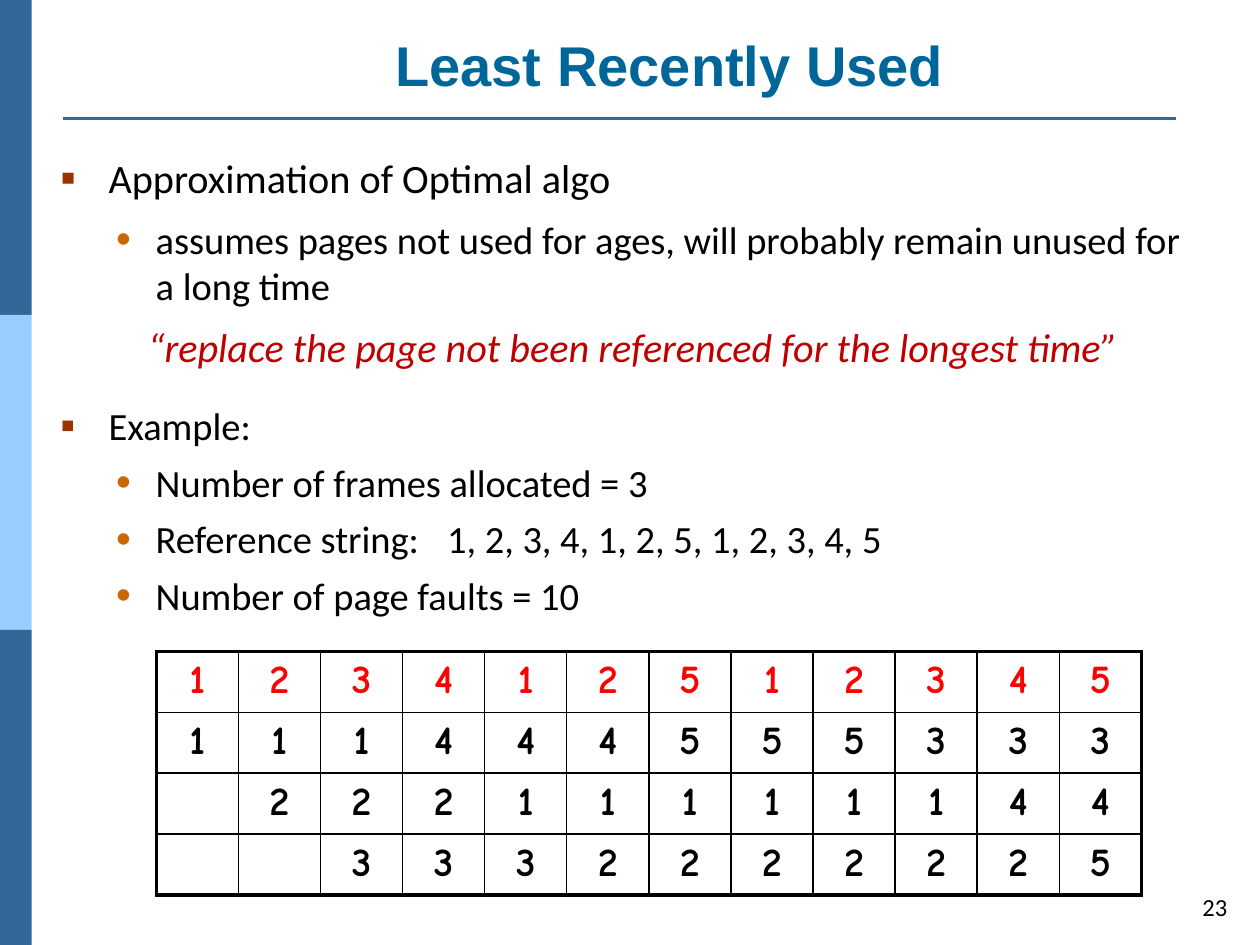
from lxml import etree
from pptx import Presentation
from pptx.dml.color import RGBColor
from pptx.enum.shapes import MSO_CONNECTOR, MSO_SHAPE
from pptx.enum.text import MSO_ANCHOR, PP_ALIGN
from pptx.oxml.ns import qn
from pptx.util import Cm, Pt

LEFT, CENTER, RIGHT = PP_ALIGN.LEFT, PP_ALIGN.CENTER, PP_ALIGN.RIGHT
TOP, MIDDLE, BOTTOM = MSO_ANCHOR.TOP, MSO_ANCHOR.MIDDLE, MSO_ANCHOR.BOTTOM
COLORS = {
    "band": "336699", "band_light": "99CCFF", "title": "006699",
    "text": "000000", "quote": "C00000", "request": "FF0000",
    "square": "993300", "dot": "CC6600", "cell": "FFFFFF",
}


def add_span(para, text, color, **font_format):
    span = para.add_run()
    span.text = text
    for name, value in font_format.items():
        setattr(span.font, name, value)
    span.font.color.rgb = RGBColor.from_string(COLORS[color])


def add_text_box(page, left, top, width, height, anchor):
    box = page.shapes.add_textbox(Cm(left), Cm(top), Cm(width), Cm(height))
    box.text_frame.word_wrap = True
    box.text_frame.vertical_anchor = anchor
    return box.text_frame


deck = Presentation()
deck.slide_width, deck.slide_height = Cm(25.4), Cm(19.05)
page = deck.slides.add_slide(deck.slide_layouts[6])

# Side bands and title rule
band_height = 19.05 / 3
for index, color in enumerate(["band", "band_light", "band"]):
    band = page.shapes.add_shape(MSO_SHAPE.RECTANGLE, 0, Cm(index * band_height),
                                 Cm(0.64), Cm(band_height))
    band.shadow.inherit = False
    band.fill.solid()
    band.fill.fore_color.rgb = RGBColor.from_string(COLORS[color])
    band.line.fill.background()

rule = page.shapes.add_connector(MSO_CONNECTOR.STRAIGHT, Cm(1.27), Cm(2.39), Cm(23.7), Cm(2.39))
rule.line.color.rgb = RGBColor.from_string(COLORS["band"])
rule.line.width = Pt(1.5)
etree.SubElement(rule._element.spPr, qn("a:effectLst"))

# Page number and title
number = add_text_box(page, 23.85, 17.75, 1.14, 1.04, MIDDLE).paragraphs[0]
number.alignment = RIGHT
add_span(number, "23", "text", name="Calibri", size=Pt(14))

title = add_text_box(page, 3.15, 0.25, 20.7, 1.85, BOTTOM).paragraphs[0]
title.alignment = CENTER
add_span(title, "Least Recently Used", "title", name="Arial", size=Pt(32), bold=True)

# Body: each kind gives level, left margin, indent, bullet, bullet colour
KINDS = {
    "main": (0, 0.97, -0.97, "▪", "square"),
    "sub": (1, 1.92, -0.8, "•", "dot"),
    "quote": (0, 0, 0, None, None),
}
BODY = [  # kind, space before, size, text
    ("main", 0, 23, "Approximation of Optimal algo"),
    ("sub", 8, 22, "assumes pages not used for ages, will probably remain unused for a long time"),
    ("quote", 8, 23, "“replace the page not been referenced for the longest time”"),
    ("main", 18, 22, "Example:"),
    ("sub", 6, 22, "Number of frames allocated = 3"),
    ("sub", 6, 22, "Reference string:\t 1, 2, 3, 4, 1, 2, 5, 1, 2, 3, 4, 5"),
    ("sub", 6, 22, "Number of page faults = 10"),
]
body = add_text_box(page, 0.97, 2.97, 23.62, 8.94, TOP)
for index, (kind, space, size, text) in enumerate(BODY):
    level, margin, indent, bullet, bullet_color = KINDS[kind]
    para = body.paragraphs[0] if index == 0 else body.add_paragraph()
    settings = para._p.get_or_add_pPr()
    settings.set("marL", str(Cm(margin)))
    settings.set("indent", str(Cm(indent)))
    if bullet:
        tint = etree.SubElement(settings, qn("a:buClr"))
        etree.SubElement(tint, qn("a:srgbClr"), val=COLORS[bullet_color])
        etree.SubElement(settings, qn("a:buSzPct"), val="110000")
        etree.SubElement(settings, qn("a:buFont"), typeface="Arial")
        etree.SubElement(settings, qn("a:buChar"), char=bullet)
    is_quote = kind == "quote"
    para_format = {"level": level, "space_before": Pt(space),
                   "alignment": CENTER if is_quote else LEFT}
    for name, value in para_format.items():
        setattr(para, name, value)
    add_span(para, text, "quote" if is_quote else "text",
             name="Calibri", size=Pt(size), italic=is_quote)

# Table: requested pages on top, then the content of each frame
FRAMES = ["123412512345", "111444555333", " 22211111144", "  3332222225"]
row_count, column_count = len(FRAMES), len(FRAMES[0])
table = page.shapes.add_table(row_count, column_count, Cm(3.15), Cm(13.13),
                              Cm(19.86), Cm(1.19 * row_count)).table
table.first_row = table.horz_banding = False
for row, pages in enumerate(FRAMES):
    for column, digit in enumerate(pages):
        cell = table.cell(row, column)
        outer_edges = {"a:lnL": column == 0, "a:lnR": column == column_count - 1,
                       "a:lnT": row == 0, "a:lnB": row == row_count - 1}
        for tag, is_outer in outer_edges.items():
            edge = etree.SubElement(cell._tc.get_or_add_tcPr(), qn(tag),
                                    w=str(Pt(2.25 if is_outer else 1)))
            paint = etree.SubElement(edge, qn("a:solidFill"))
            etree.SubElement(paint, qn("a:srgbClr"), val=COLORS["text"])
        cell.fill.solid()
        cell.fill.fore_color.rgb = RGBColor.from_string(COLORS["cell"])
        if digit != " ":
            para = cell.text_frame.paragraphs[0]
            para.alignment = CENTER
            add_span(para, digit, "request" if row == 0 else "text",
                     name="Comic Neue", size=Pt(23), bold=True)

deck.save("out.pptx")
